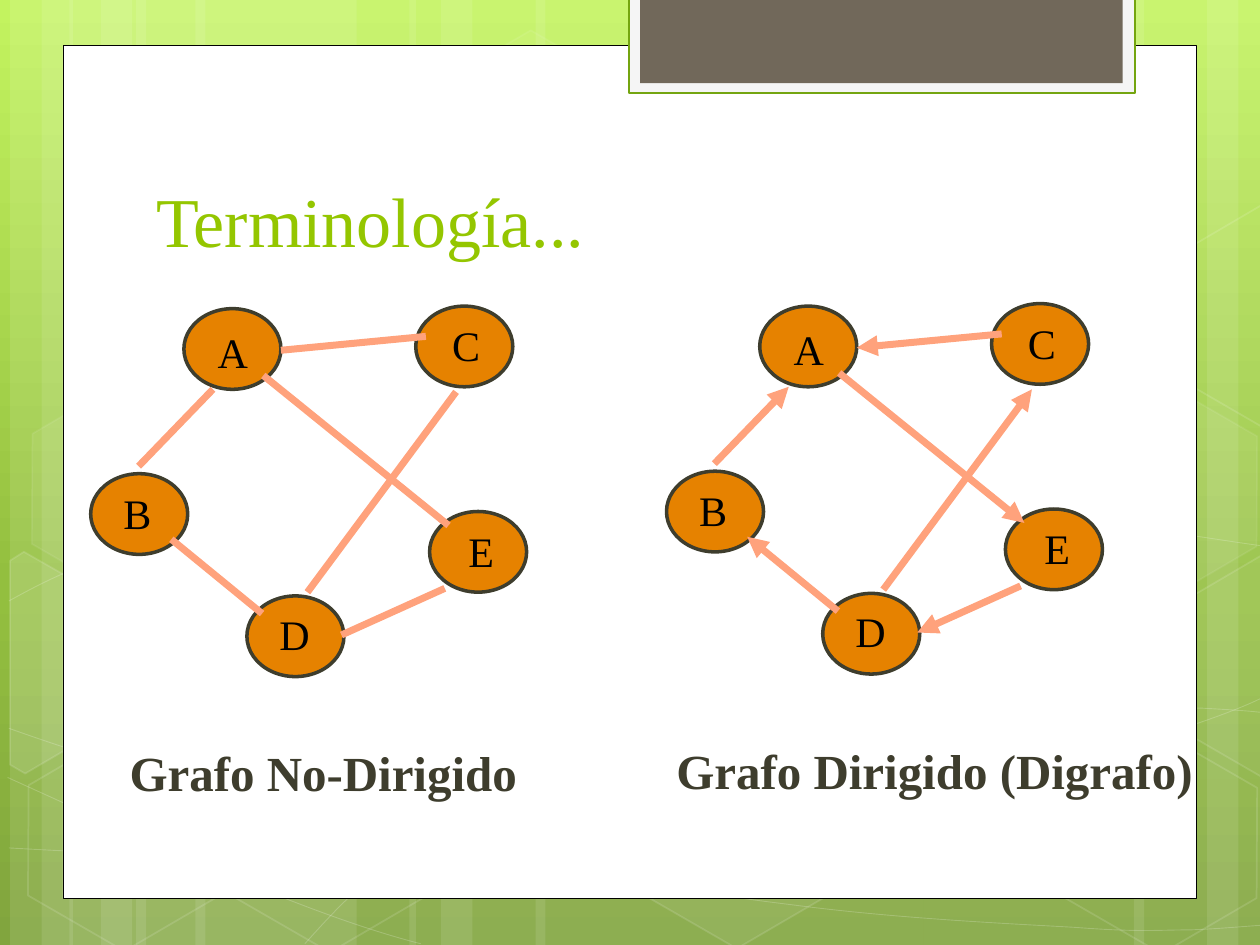
"""Build a slide that compares an undirected graph with a directed one."""
import copy

import pptx
import pptx.dml.color
import pptx.enum.shapes
import pptx.enum.text
import pptx.oxml.ns
import pptx.util

W, H = 10, 7.5
FONT = "Times New Roman"
WHITE, DARK = "FFFFFF", "3E3D2D"
SHAPE = pptx.enum.shapes.MSO_SHAPE
GRADIENT = [(0, "C3F35F"), (0.62, "93BF3F"), (1, "81A53E")]

BARS = [(1.08, 1.75), (0.08, 0.5), (0.33, 0.83), (1.55, 1.75), (0.55, 0.5), (0.8, 0.83),
        (7.33, 1.75), (9.58, 0.5), (9, 0.83), (4.25, 3.08), (3.25, 0.5), (3.5, 0.83)]
CURVES = [
    [(0.07, 6.73), (0.61, 6.76), (1.15, 6.79), (1.9, 6.78), (2.65, 6.77), (3.58, 6.75),
     (4.58, 6.65), (5.58, 6.55), (7, 6.36), (7.92, 6.17), (8.83, 5.98), (9.77, 5.68), (10.07, 5.51)],
    [(0.07, 4.77), (0.36, 4.61), (0.65, 4.46), (1.21, 4.31), (1.78, 4.16), (2.59, 3.94),
     (3.47, 3.87), (4.36, 3.8), (5.44, 3.79), (6.54, 3.87), (7.64, 3.95), (9.47, 4.26), (10.07, 4.34)],
    [(0.06, 6.17), (1.27, 6.72), (2.47, 7.27), (3.34, 7.49)],
    [(0.07, 5.78), (0.38, 5.89), (0.7, 6), (1.28, 6.16), (1.86, 6.31), (2.73, 6.56),
     (3.57, 6.73), (4.4, 6.9), (5.45, 7.08), (6.28, 7.18), (7.11, 7.29), (8, 7.33),
     (8.53, 7.36), (9.05, 7.4), (9.19, 7.38), (9.45, 7.38), (9.71, 7.37), (9.89, 7.35), (10.07, 7.34)],
    [(2.42, 7.49), (2.6, 7.29), (2.78, 7.09), (3.02, 6.91), (3.26, 6.73), (3.6, 6.53),
     (3.88, 6.39), (4.16, 6.25), (4.33, 6.19), (4.7, 6.09), (5.06, 5.99), (5.73, 5.85),
     (6.08, 5.78), (6.44, 5.71), (6.49, 5.71), (6.8, 5.69), (7.11, 5.66), (7.6, 5.63),
     (7.94, 5.62), (8.29, 5.61), (8.86, 5.62), (8.86, 5.62), (9.08, 5.62), (9.3, 5.62),
     (9.53, 5.62), (9.71, 5.63), (9.88, 5.64), (9.97, 5.65), (10.06, 5.66), (10.03, 5.65),
     (10.06, 5.66)],
]
HEXAGONS = [(3.34, 0.36, 4, 8), (4.97, 5.89, 6, 12), (0.11, 5.91, 0, 12), (0.14, 3.12, 7, 8),
            (1.74, 5.92, 0, 12), (7.53, 4.53, 10, 12), (8.34, 5.93, 0, 12), (8.34, 3.14, 7, 8)]
CUT_HEXAGONS = [
    ([(0.08, 4.45), (0.19, 4.38), (0.96, 4.82), (0.95, 5.7), (0.2, 6.14), (0.08, 6.07)], 10),
    ([(9.26, 4.85), (10.01, 4.41), (10.09, 4.46), (10.09, 6.13), (10.02, 6.17), (9.26, 5.73)], 4),
    ([(9.26, 2.07), (10.01, 1.63), (10.1, 1.68), (10.09, 3.35), (10.02, 3.39), (9.26, 2.95)], 0),
]
PANELS = [((0.5, 0.36, 9, 6.77), WHITE, ("000000", 0.5)),
          ((4.99, -0.02, 4.02, 0.76), "F5F5F5", ("74A510", 1.25)),
          ((5.08, -0.02, 3.83, 0.68), "71685A", None)]

NODE = (0.77, 0.64)
NODES = {"A": (1.46, 2.45), "B": (0.72, 3.76), "D": (1.96, 4.73), "E": (3.41, 4.06), "C": (3.3, 2.43)}
LABELS = {"A": (1.63, 2.54, 0.44), "B": (0.88, 3.82, 0.42), "C": (3.49, 2.49, 0.42),
          "E": (3.62, 4.12, 0.4), "D": (2.12, 4.78, 0.44)}
EDGES = {"BA": (1.1, 3.7, 1.69, 3.09), "CA": (3.38, 2.67, 2.23, 2.78),
         "AE": (2.09, 2.98, 3.56, 4.17), "DB": (2.08, 4.87, 1.36, 4.28),
         "DC": (2.44, 4.7, 3.62, 3.11), "ED": (3.53, 4.67, 2.71, 5.04)}
GRAPHS = [(0, 0, False), (4.57, -0.02, True)]
CAPTIONS = [("Grafo No-Dirigido", (0.93, 5.84, 3.28, 0.56)),
            ("Grafo Dirigido (Digrafo)", (5.27, 5.83, 4.3, 0.56))]

prs = pptx.Presentation()
prs.slide_width, prs.slide_height = pptx.util.Inches(W), pptx.util.Inches(H)
s = prs.slides.add_slide(prs.slide_layouts[6])


def rgb(value):
    return pptx.dml.color.RGBColor.from_string(value)


def inches(values):
    return [pptx.util.Inches(v) for v in values]


def fade(sp, place, percent):
    for color in sp._element.spPr.xpath(place + "a:solidFill/a:srgbClr"):
        alpha = color.makeelement(pptx.oxml.ns.qn("a:alpha"), {"val": str(percent * 1000)})
        color.append(alpha)


def style(sp, fill=None, line=None, fill_alpha=100, line_alpha=100):
    sp.shadow.inherit = False
    if fill and fill_alpha:
        sp.fill.solid()
        sp.fill.fore_color.rgb = rgb(fill)
        fade(sp, "./", fill_alpha)
    else:
        sp.fill.background()
    if line:
        sp.line.color.rgb = rgb(line[0])
        sp.line.width = pptx.util.Pt(line[1])
        fade(sp, "./a:ln/", line_alpha)
    else:
        sp.line.fill.background()
    return sp


def add_shape(kind, box, *args):
    return style(s.shapes.add_shape(kind, *inches(box)), *args)


def add_outline(points, close, *args):
    grid = [(x * 100, y * 100) for x, y in points]
    builder = s.shapes.build_freeform(*grid[0], scale=pptx.util.Inches(0.01))
    builder.add_line_segments(grid[1:], close=close)
    return style(builder.convert_to_shape(), *args)


def bend(sp):
    segments = sp._element.xpath(".//a:lnTo")
    for i in range(0, len(segments), 3):
        curve = segments[i].makeelement(pptx.oxml.ns.qn("a:cubicBezTo"), {})
        segments[i].addprevious(curve)
        for segment in segments[i:i + 3]:
            curve.append(segment[0])
            segment.getparent().remove(segment)


def add_text(text, box, size, color, bold=False, wrap=False, anchor="TOP"):
    tf = s.shapes.add_textbox(*inches(box)).text_frame
    tf.word_wrap = wrap
    tf.vertical_anchor = pptx.enum.text.MSO_ANCHOR[anchor]
    r = tf.paragraphs[0].add_run()
    r.text = text
    for name, value in {"name": FONT, "size": pptx.util.Pt(size), "bold": bold}.items():
        setattr(r.font, name, value)
    r.font.color.rgb = rgb(color)


def add_edge(ends, directed):
    c = s.shapes.add_connector(pptx.enum.shapes.MSO_CONNECTOR.STRAIGHT, *inches(ends))
    c.line.color.rgb = rgb("FFA27C")
    c.line.width = pptx.util.Pt(4)
    pr = c._element.spPr
    if directed:
        ln = pr.find(pptx.oxml.ns.qn("a:ln"))
        ln.append(ln.makeelement(pptx.oxml.ns.qn("a:tailEnd"), {"type": "triangle"}))
    pr.append(pr.makeelement(pptx.oxml.ns.qn("a:effectLst"), {}))


def add_backdrop():
    fill = s.background.fill
    fill.gradient()
    fill.gradient_angle = 270
    stops = s._element.xpath(".//p:bg//a:gs")
    stops[-1].addnext(copy.deepcopy(stops[-1]))
    for stop, (position, color) in zip(fill.gradient_stops, GRADIENT):
        stop.position = position
        stop.color.rgb = rgb(color)
    for left, width in BARS:
        add_shape(SHAPE.RECTANGLE, (left, 0, width, H), WHITE, None, 10)
    for points in CURVES:
        bend(add_outline(points, False, None, (WHITE, 0.5), 0, 20))
    for left, top, fill_alpha, line_alpha in HEXAGONS:
        sp = add_shape(SHAPE.HEXAGON, (left, top, 1.75, 1.52), WHITE, (WHITE, 1),
                       fill_alpha, line_alpha)
        sp.adjustments[0] = 0.285
        sp.rotation = 30
    for points, alpha in CUT_HEXAGONS:
        add_outline(points, True, WHITE, (WHITE, 1), alpha, 12)
    for box, color, line in PANELS:
        add_shape(SHAPE.RECTANGLE, box, color, line)


def add_graph(dx, dy, directed):
    for x, y in NODES.values():
        add_shape(SHAPE.OVAL, (x + dx, y + dy, *NODE), "E68200", (DARK, 2))
    for x1, y1, x2, y2 in EDGES.values():
        add_edge((x1 + dx, y1 + dy, x2 + dx, y2 + dy), directed)
    for text, (x, y, width) in LABELS.items():
        add_text(text, (x + dx, y + dy, width, 0.5), 24, "000000")


def main():
    add_backdrop()
    add_text("Terminología...", (1.14, 1.12, 7.68, 1.25), 40, "94C600", wrap=True, anchor="MIDDLE")
    for graph in GRAPHS:
        add_graph(*graph)
    for text, box in CAPTIONS:
        add_text(text, box, 28, DARK, bold=True)
    prs.save("out.pptx")


if __name__ == "__main__":
    main()
